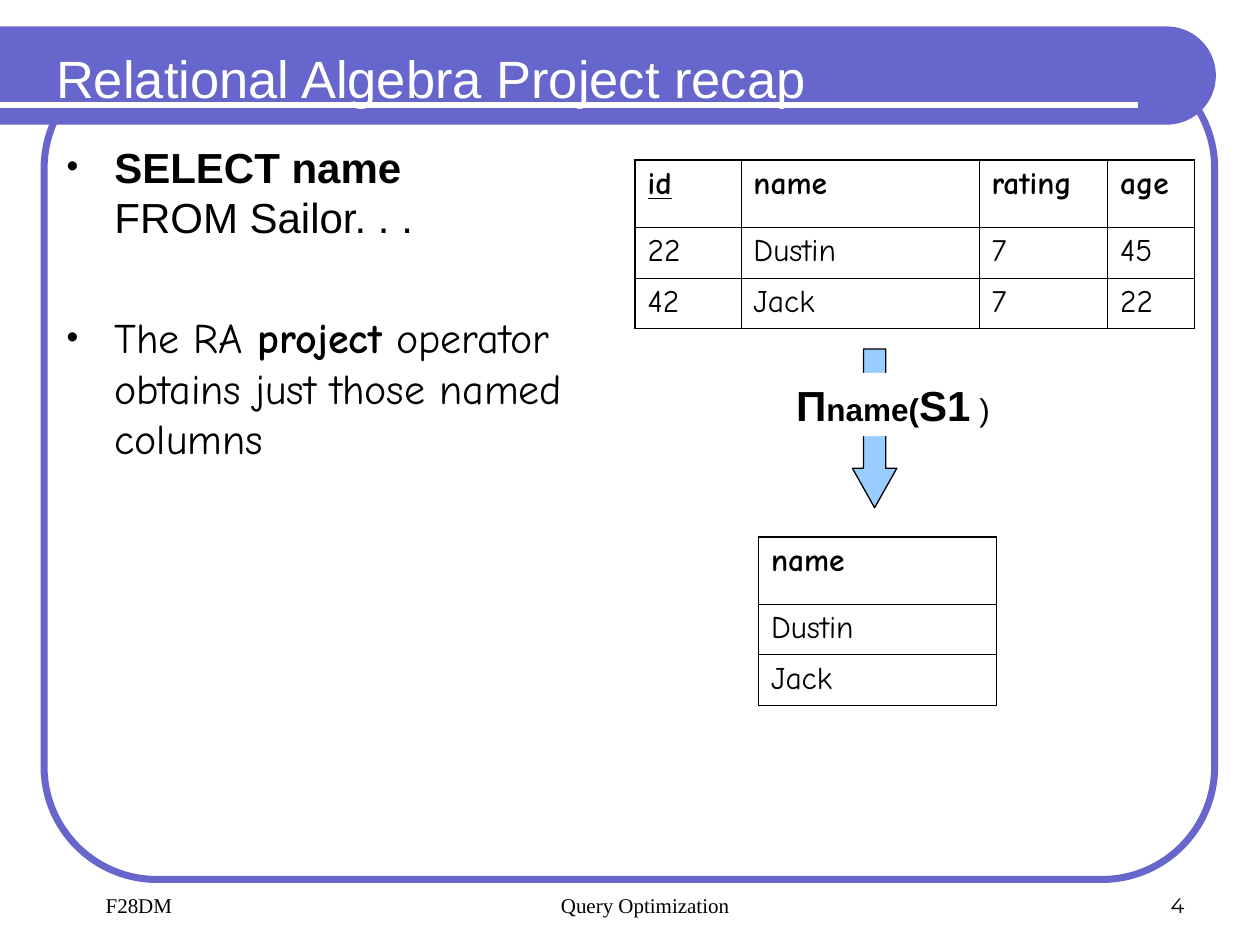
from dataclasses import dataclass
from math import cos, pi, sin

from lxml.etree import SubElement
from pptx import Presentation
from pptx.dml.color import RGBColor
from pptx.enum.shapes import MSO_CONNECTOR as Connector, MSO_SHAPE as Shape
from pptx.enum.text import MSO_ANCHOR as Anchor, PP_ALIGN as Align
from pptx.oxml.ns import qn
from pptx.util import Inches, Pt

VIOLET = RGBColor(0x66, 0x66, 0xCC)
SKY = RGBColor(0x99, 0xCC, 0xFF)
WHITE = RGBColor(0xFF, 0xFF, 0xFF)
BLACK = RGBColor(0, 0, 0)

SANS, HAND, SERIF, DIGIT = "Arial", "Comic Neue", "Times New Roman", "Montserrat"
CELL = Inches(0.1)  # the slide is a grid of 100 columns by 75 rows
OUTER, INNER = Pt(1.08), Pt(0.45)
ROW_HEIGHTS = (5.33, 4.03, 4.03)


@dataclass
class Box:
    """A region in grid columns and rows."""
    left: float
    top: float
    width: float
    height: float

    def share(self, x, y, w, h):
        return Box(self.left + x * self.width, self.top + y * self.height,
                   w * self.width, h * self.height)

    def emu(self):
        return [round(n * CELL) for n in (self.left, self.top, self.width, self.height)]


def add_run(paragraph, text, **formats):
    run = paragraph.add_run()
    run.text = text
    run.font.color.rgb = formats.pop("color", BLACK)
    for name, value in formats.items():
        setattr(run.font, name, value)


def add_text(slide, box, anchor=Anchor.TOP):
    frame = slide.shapes.add_textbox(*box.emu()).text_frame
    frame.word_wrap = True
    frame.vertical_anchor = anchor
    return frame.paragraphs[0]


def add_preset(slide, preset, box, fill=None, line=None, weight=1, adjustments=()):
    shape = slide.shapes.add_shape(preset, *box.emu())
    shape.shadow.inherit = False
    for index, value in enumerate(adjustments):
        shape.adjustments[index] = value
    for part, color in ((shape.fill, fill), (shape.line.fill, line)):
        if color is None:
            part.background()
        else:
            part.solid()
            part.fore_color.rgb = color
    if line is not None:
        shape.line.width = Pt(weight)
    return shape


def draw_frame(slide, box):
    add_preset(slide, Shape.ROUNDED_RECTANGLE, box, line=VIOLET, weight=4,
               adjustments=[0.137])


def draw_title(slide, box):
    # Band with a round right end
    left, top, width, height = box.emu()
    radius = height / 2
    center_x, center_y = left + width - radius, top + radius
    angles = [-pi / 2 + pi * step / 40 for step in range(41)]
    outline = slide.shapes.build_freeform(left, top)
    outline.add_line_segments(
        [(round(center_x + radius * cos(a)), round(center_y + radius * sin(a)))
         for a in angles] + [(left, top + height)])
    band = outline.convert_to_shape()
    band.shadow.inherit = False
    band.fill.solid()
    band.fill.fore_color.rgb = VIOLET
    band.line.fill.background()

    # Rule under the title
    x, y, length, _ = box.share(0, 0.8, 0.936, 0).emu()
    rule = slide.shapes.add_connector(Connector.STRAIGHT, x, y, x + length, y)
    rule.line.color.rgb = WHITE
    rule.line.width = Pt(3)
    SubElement(rule._element.spPr, qn("a:effectLst"))

    title = add_text(slide, box.share(0.036, 0.05, 0.9, 0.95), Anchor.MIDDLE)
    add_run(title, "Relational Algebra Project recap", name=SANS, size=Pt(30), color=WHITE)


def make_bullet(paragraph):
    props = paragraph._p.get_or_add_pPr()
    props.set("marL", str(Inches(0.38)))
    props.set("indent", str(-Inches(0.38)))
    SubElement(SubElement(props, qn("a:buClr")), qn("a:srgbClr"), val=str(BLACK))
    SubElement(props, qn("a:buSzPct"), val="80000")
    SubElement(props, qn("a:buFont"), typeface=SANS)
    SubElement(props, qn("a:buChar"), char="•")


def draw_bullets(slide, box):
    query = add_text(slide, box)
    make_bullet(query)
    add_run(query, "SELECT name", name=SANS, size=Pt(24), bold=True)
    query.add_line_break()
    add_run(query, "FROM Sailor. . .", name=SANS, size=Pt(24))

    meaning = query._parent.add_paragraph()
    make_bullet(meaning)
    meaning.space_before = Pt(40)
    for text, bold in (("The RA ", False), ("project", True),
                       (" operator obtains just those named columns", False)):
        add_run(meaning, text, name=HAND, size=Pt(24), bold=bold)


def set_borders(cell, **widths):
    props = cell._tc.get_or_add_tcPr()
    for index, (side, width) in enumerate(widths.items()):
        line = SubElement(props, qn(f"a:ln{side}"), w=str(width))
        fill = SubElement(line, qn("a:solidFill"))
        SubElement(fill, qn("a:srgbClr"), val=str(BLACK))
        props.insert(index, line)  # borders come before the fill


def draw_relation(slide, left, top, columns, rows, key=None):
    box = Box(left, top, sum(columns), sum(ROW_HEIGHTS))
    table = slide.shapes.add_table(len(rows), len(columns), *box.emu()).table
    table.first_row = table.horz_banding = False
    for column, width in zip(table.columns, columns):
        column.width = round(width * CELL)
    for row, height in zip(table.rows, ROW_HEIGHTS):
        row.height = round(height * CELL)
    last_row, last_column = len(rows) - 1, len(columns) - 1
    for r, values in enumerate(rows):
        for c, value in enumerate(values):
            cell = table.cell(r, c)
            cell.fill.background()
            set_borders(cell, L=OUTER if c == 0 else INNER,
                        R=OUTER if c == last_column else INNER,
                        T=OUTER if r == 0 else INNER,
                        B=OUTER if r == last_row else INNER)
            add_run(cell.text_frame.paragraphs[0], value, name=HAND, size=Pt(18),
                    bold=r == 0, underline=r == 0 and value == key)


def draw_projection(slide, box):
    add_preset(slide, Shape.DOWN_ARROW, box.share(0.31, 0, 0.2, 1), fill=SKY,
               line=BLACK, weight=0.75, adjustments=[0.5, 0.889])
    label = add_preset(slide, Shape.RECTANGLE, box.share(0, 0.15, 1, 0.4), fill=WHITE)
    label.text_frame.word_wrap = False
    label.text_frame.vertical_anchor = Anchor.TOP
    formula = label.text_frame.paragraphs[0]
    formula.alignment = Align.LEFT
    for text, size, bold in (("Π", 24, True), ("name(", 18, True),
                             ("S1", 24, True), (" )", 18, False)):
        add_run(formula, text, name=SANS, size=Pt(size), bold=bold)


def draw_footer(slide, box):
    for text, x, width, align, font, indent in (
            ("F28DM", 0, 0.26, Align.LEFT, SERIF, 0.24),
            ("Query Optimization", 0.324, 0.352, Align.CENTER, SERIF, 0.24),
            ("4", 0.74, 0.26, Align.RIGHT, DIGIT, 0)):
        note = add_text(slide, box.share(x, 0, width, 1), Anchor.BOTTOM)
        note.alignment = align
        note._p.get_or_add_pPr().set("marL", str(Inches(indent)))
        add_run(note, text, name=font, size=Pt(12))


def main():
    deck = Presentation()
    deck.slide_width, deck.slide_height = 100 * CELL, 75 * CELL
    slide = deck.slides.add_slide(deck.slide_layouts[6])
    draw_frame(slide, Box(3.5, 4.4, 92.9, 65.4))
    draw_title(slide, Box(0, 2.1, 96.5, 7.8))
    draw_bullets(slide, Box(4.3, 10.7, 44.4, 57.5))
    draw_relation(slide, 50.4, 12.7, (8.4, 18.9, 10.2, 6.9),
                  (("id", "name", "rating", "age"),
                   ("22", "Dustin", "7", "45"),
                   ("42", "Jack", "7", "22")), key="id")
    draw_relation(slide, 60.2, 42.6, (18.9,), (("name",), ("Dustin",), ("Jack",)))
    draw_projection(slide, Box(62.2, 27.7, 17.6, 12.6))
    draw_footer(slide, Box(5, 68.3, 90, 5))
    deck.save("out.pptx")


if __name__ == "__main__":
    main()
